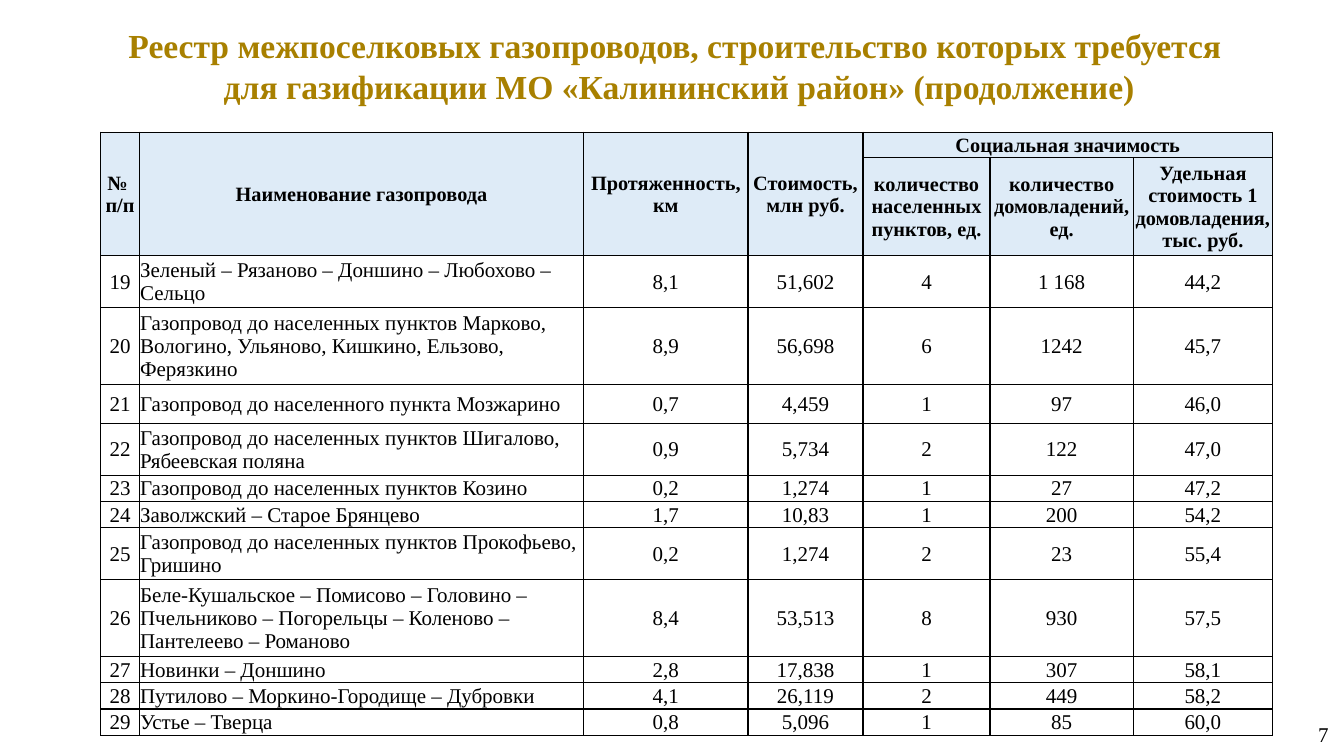
from pptx import Presentation
from pptx import util as u
from pptx.dml.color import RGBColor
from pptx.enum import text as t
from pptx.oxml import parse_xml
from pptx.oxml.ns import nsdecls

HUES = {"gold": "A88000", "ink": "000000", "head": "DEEBF7"}
FONT = "Times New Roman"
TITLE = ("Реестр межпоселковых газопроводов, строительство которых требуется \n"
         "для газификации МО «Калининский район» (продолжение)")
PAGE = "7"

HEAD = [
    ["№ \vп/п", "Наименование газопровода", "Протяженность, км",
     "Стоимость, млн руб.", "Социальная значимость", "", ""],
    ["", "", "", "", "количество населенных пунктов, ед.",
     "количество\nдомовладений, ед.",
     "Удельная стоимость 1 домовладения, тыс. руб."],
]
FIRST = 19  # number of the first pipeline
# name, length, cost, settlements, households, unit cost
PIPES = [
    ("Зеленый – Рязаново – Доншино – Любохово – Сельцо",
     "8,1", "51,602", "4", "1 168", "44,2"),
    ("Газопровод до населенных пунктов Марково, Вологино, Ульяново, "
     "Кишкино, Ельзово, Ферязкино",
     "8,9", "56,698", "6", "1242", "45,7"),
    ("Газопровод до населенного пункта Мозжарино",
     "0,7", "4,459", "1", "97", "46,0"),
    ("Газопровод до населенных пунктов Шигалово, Рябеевская поляна",
     "0,9", "5,734", "2", "122", "47,0"),
    ("Газопровод до населенных пунктов Козино",
     "0,2", "1,274", "1", "27", "47,2"),
    ("Заволжский – Старое Брянцево", "1,7", "10,83", "1", "200", "54,2"),
    ("Газопровод до населенных пунктов Прокофьево, Гришино",
     "0,2", "1,274", "2", "23", "55,4"),
    ("Беле-Кушальское – Помисово – Головино – Пчельниково – Погорельцы – "
     "Коленово –Пантелеево – Романово",
     "8,4", "53,513", "8", "930", "57,5"),
    ("Новинки – Доншино", "2,8", "17,838", "1", "307", "58,1"),
    ("Путилово – Моркино-Городище – Дубровки",
     "4,1", "26,119", "2", "449", "58,2"),
    ("Устье – Тверца", "0,8", "5,096", "1", "85", "60,0"),
]
# Sizes in cm; body rows stand one, two or three lines high
WIDE = [0.97, 11.2, 4.14, 2.9, 3.2, 3.61, 3.51]
ONE, TWO, THREE = 0.66, 1.31, 1.94
HIGH = [0.64, 2.47, TWO, THREE, 0.97, TWO, ONE, ONE, TWO, THREE, ONE, ONE, ONE]
SPANS = [(0, c, 1, c) for c in range(4)] + [(0, 4, 0, 6)]

MID = t.PP_ALIGN.CENTER


def style(frame, size, hue, bold, align):
    for para in frame.paragraphs:
        para.alignment = align
        for run in para.runs:
            font = run.font
            font.name, font.size, font.bold = FONT, u.Pt(size), bold
            font.color.rgb = RGBColor.from_string(HUES[hue])


def label(slide, words, box, size, hue, bold, align, anchor):
    frame = slide.shapes.add_textbox(*map(u.Cm, box)).text_frame
    frame.word_wrap = True
    frame.vertical_anchor = anchor
    frame.text = words
    style(frame, size, hue, bold, align)
    return frame


def border(cell):
    props = cell._tc.get_or_add_tcPr()
    for at, side in enumerate(("lnL", "lnR", "lnT", "lnB")):
        props.insert(at, parse_xml(
            f'<a:{side} {nsdecls("a")} w="12700"><a:solidFill>'
            f'<a:srgbClr val="{HUES["ink"]}"/></a:solidFill></a:{side}>'))


def fill(cell, words, head, align):
    cell.margin_left = cell.margin_right = cell.margin_top = u.Cm(0.02)
    cell.margin_bottom = 0
    cell.vertical_anchor = t.MSO_ANCHOR.MIDDLE
    if head:
        cell.fill.solid()
        cell.fill.fore_color.rgb = RGBColor.from_string(HUES["head"])
    else:
        cell.fill.background()
    border(cell)
    cell.text_frame.text = words
    style(cell.text_frame, 14.5 if head else 15, "ink", head, align)


def main():
    deck = Presentation()
    deck.slide_width, deck.slide_height = u.Cm(33.87), u.Cm(19.05)
    slide = deck.slides.add_slide(deck.slide_layouts[6])

    # Page number and title
    label(slide, PAGE, (26.85, 17.73, 6.88, 1.55), 15, "ink", False,
          t.PP_ALIGN.RIGHT, t.MSO_ANCHOR.MIDDLE)
    title = label(slide, TITLE, (2.18, 0.51, 29.87, 2.31), 24, "gold", True,
                  MID, t.MSO_ANCHOR.TOP)
    title.auto_size = t.MSO_AUTO_SIZE.SHAPE_TO_FIT_TEXT

    # Register of pipelines
    rows = HEAD + [(str(n), *pipe) for n, pipe in enumerate(PIPES, FIRST)]
    grid = slide.shapes.add_table(
        len(rows), len(WIDE), u.Cm(2.54), u.Cm(3.33),
        u.Cm(sum(WIDE)), u.Cm(sum(HIGH))).table
    grid.first_row = grid.horz_banding = False
    for col, width in zip(grid.columns, WIDE):
        col.width = u.Cm(width)
    for row, height in zip(grid.rows, HIGH):
        row.height = u.Cm(height)
    for r, row in enumerate(rows):
        head = r < len(HEAD)
        for c, words in enumerate(row):
            left = c == 1 and not head
            fill(grid.cell(r, c), words, head, t.PP_ALIGN.LEFT if left else MID)
    for top, left, low, right in SPANS:
        grid.cell(top, left).merge(grid.cell(low, right))

    deck.save("out.pptx")


if __name__ == "__main__":
    main()
